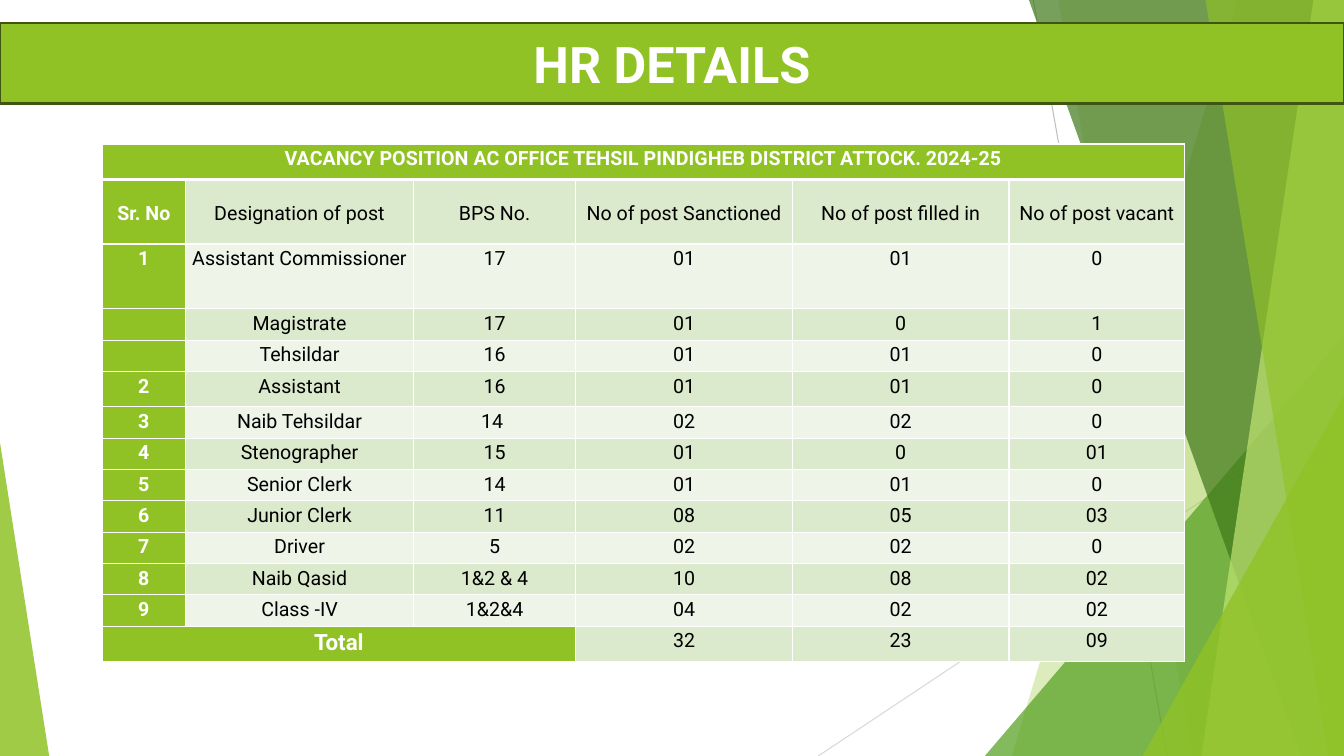
from lxml import etree
from pptx import Presentation
from pptx import util as u
from pptx.dml.color import RGBColor
from pptx.enum import shapes, text
from pptx.oxml import ns

WIDTH, HEIGHT = 33.87, 19.05

COLORS = {
    "lime": "90C226", "green": "54A021", "forest": "3F7819", "pale": "C0E474",
    "outline": "3F5511", "band": "DBE9CD", "light": "EEF4E8",
    "white": "FFFFFF", "black": "000000", "grey": "BFBFBF", "silver": "D9D9D9",
}
CELL_FORMAT = {"margin_left": u.Cm(0.15), "margin_right": u.Cm(0.15),
               "margin_top": 0, "margin_bottom": 0}
CELL_PARAGRAPH = {"alignment": text.PP_ALIGN.CENTER, "line_spacing": 1.15,
                  "space_after": u.Pt(10)}

TITLE = "VACANCY POSITION AC OFFICE TEHSIL PINDIGHEB DISTRICT ATTOCK. 2024-25"
VACANCIES = [
    [TITLE, "", "", "", "", ""],
    ["Sr. No", "Designation of post", "BPS No.", "No of post Sanctioned",
     "No of post filled in", "No of post vacant"],
    ["1", "Assistant Commissioner ", "17", "01", "01", "0"],
    ["", "Magistrate", "17", "01", "0", "1"],
    ["", "Tehsildar", "16", "01", "01", "0"],
    ["2", "Assistant", "16", "01", "01", "0"],
    ["3", "Naib Tehsildar", "14 ", "02", "02", "0"],
    ["4", "Stenographer", "15", "01", "0", "01"],
    ["5", "Senior Clerk", "14", "01", "01", "0"],
    ["6", "Junior Clerk", "11", "08", "05", "03"],
    ["7", "Driver", "5", "02", "02", "0"],
    ["8", "Naib Qasid", "1&2 & 4", "10", "08", "02"],
    ["9", "Class -IV", "1&2&4", "04", "02", "02"],
    ["Total", "", "", "32", "23", "09"],
]
COLUMN_WIDTHS = [2.11, 5.74, 4.09, 5.46, 5.46, 4.42]
ROW_HEIGHTS = [0.89, 1.63, 1.63, 0.79, 0.79, 0.89] + [0.79] * 7 + [0.89]


def rgb(color):
    return RGBColor.from_string(COLORS[color])


def set_all(target, values):
    for name, value in values.items():
        setattr(target, name, value)


class SlideBuilder:
    font = "Roboto"

    def __init__(self, slide):
        self.shapes = slide.shapes

    def line(self, start, end, color):
        line = self.shapes.add_connector(
            shapes.MSO_CONNECTOR.STRAIGHT, *map(u.Cm, start + end))
        line.line.color.rgb = rgb(color)
        line.line.width = u.Pt(0.75)
        etree.SubElement(line._element.spPr, ns.qn("a:effectLst"))

    def paint(self, shape, color, opacity=100):
        shape.shadow.inherit = False
        shape.fill.solid()
        shape.fill.fore_color.rgb = rgb(color)
        shape.line.fill.background()
        if opacity < 100:
            tint = shape._element.spPr.find(".//" + ns.qn("a:srgbClr"))
            etree.SubElement(tint, ns.qn("a:alpha"), val=str(opacity * 1000))

    def panel(self, top_x, bottom_x, color, opacity):
        """Slanted full-height panel reaching the right edge of the slide."""
        outline = self.shapes.build_freeform(u.Cm(top_x), 0)
        corners = [(WIDTH, 0), (WIDTH, HEIGHT), (bottom_x, HEIGHT)]
        outline.add_line_segments([(u.Cm(x), u.Cm(y)) for x, y in corners])
        self.paint(outline.convert_to_shape(), color, opacity)

    def triangle(self, left, top, width, apex, color, opacity):
        """Triangle standing on the bottom edge of the slide."""
        shape = self.shapes.add_shape(
            shapes.MSO_SHAPE.ISOSCELES_TRIANGLE,
            *map(u.Cm, (left, top, width, HEIGHT - top)))
        shape.adjustments[0] = apex
        self.paint(shape, color, opacity)

    def add_words(self, paragraph, words, size, color, bold):
        run = paragraph.add_run()
        run.text = words
        set_all(run.font, {"name": self.font, "size": u.Pt(size), "bold": bold})
        run.font.color.rgb = rgb(color)

    def banner(self, words, top, height):
        bar = self.shapes.add_shape(shapes.MSO_SHAPE.RECTANGLE, 0, u.Cm(top),
                                    u.Cm(WIDTH), u.Cm(height))
        self.paint(bar, "lime")
        bar.line.color.rgb = rgb("outline")
        bar.line.width = u.Pt(1.5)
        bar.text_frame.vertical_anchor = text.MSO_ANCHOR.MIDDLE
        heading = bar.text_frame.paragraphs[0]
        heading.alignment = text.PP_ALIGN.CENTER
        self.add_words(heading, words, 36, "white", True)

    def borders(self, cell, bottom_width):
        properties = cell._tc.get_or_add_tcPr()
        for index, side in enumerate("LRTB"):
            width = bottom_width if side == "B" else 1
            edge = etree.Element(ns.qn("a:ln" + side), w=str(u.Pt(width)))
            fill = etree.SubElement(edge, ns.qn("a:solidFill"))
            etree.SubElement(fill, ns.qn("a:srgbClr"), val=COLORS["white"])
            properties.insert(index, edge)

    def cell(self, cell, words, fill, size, accent, anchor, bottom_width):
        set_all(cell, CELL_FORMAT | {"vertical_anchor": anchor})
        cell.fill.solid()
        cell.fill.fore_color.rgb = rgb(fill)
        self.borders(cell, bottom_width)
        paragraph = cell.text_frame.paragraphs[0]
        set_all(paragraph, CELL_PARAGRAPH)
        self.add_words(paragraph, words, size, "white" if accent else "black",
                       accent)

    def vacancy_table(self, left, top):
        last = len(VACANCIES) - 1
        table = self.shapes.add_table(
            len(VACANCIES), len(COLUMN_WIDTHS), u.Cm(left), u.Cm(top),
            u.Cm(sum(COLUMN_WIDTHS)), u.Cm(sum(ROW_HEIGHTS))).table
        for column, width in zip(table.columns, COLUMN_WIDTHS):
            column.width = u.Cm(width)
        for r, (row, height) in enumerate(zip(VACANCIES, ROW_HEIGHTS)):
            table.rows[r].height = u.Cm(height)
            for c, words in enumerate(row):
                accent = r == 0 or c == 0 or (r == last and c < 3)
                fill = "lime" if accent else "band" if r % 2 else "light"
                anchor = text.MSO_ANCHOR.MIDDLE if r == 1 else text.MSO_ANCHOR.TOP
                self.cell(table.cell(r, c), words, fill,
                          16 if words == "Total" else 14, accent, anchor,
                          3 if r == 0 else 1)
        table.cell(0, 0).merge(table.cell(0, 5))
        table.cell(last, 0).merge(table.cell(last, 2))


def main():
    deck = Presentation()
    deck.slide_width, deck.slide_height = u.Cm(WIDTH), u.Cm(HEIGHT)
    page = SlideBuilder(deck.slides.add_slide(deck.slide_layouts[6]))

    page.line((26.04, 0), (29.41, HEIGHT), "grey")
    page.line((WIDTH, 10.24), (20.62, HEIGHT), "silver")
    page.panel(31.19, 25.5, "lime", 30)
    page.panel(26.67, 30.05, "lime", 20)
    page.triangle(24.82, 8.46, 9.05, 1, "green", 72)
    page.panel(25.93, 32.79, "forest", 70)
    page.panel(33.1, 30.28, "pale", 70)
    page.panel(30.38, 33.48, "lime", 65)
    page.triangle(28.8, 9.98, 5.07, 1, "lime", 80)
    page.triangle(0, 11.15, 1.24, 0, "lime", 85)
    page.banner("HR DETAILS", 0.58, 2.03)
    page.vacancy_table(2.57, 3.63)

    deck.save("out.pptx")


if __name__ == "__main__":
    main()
